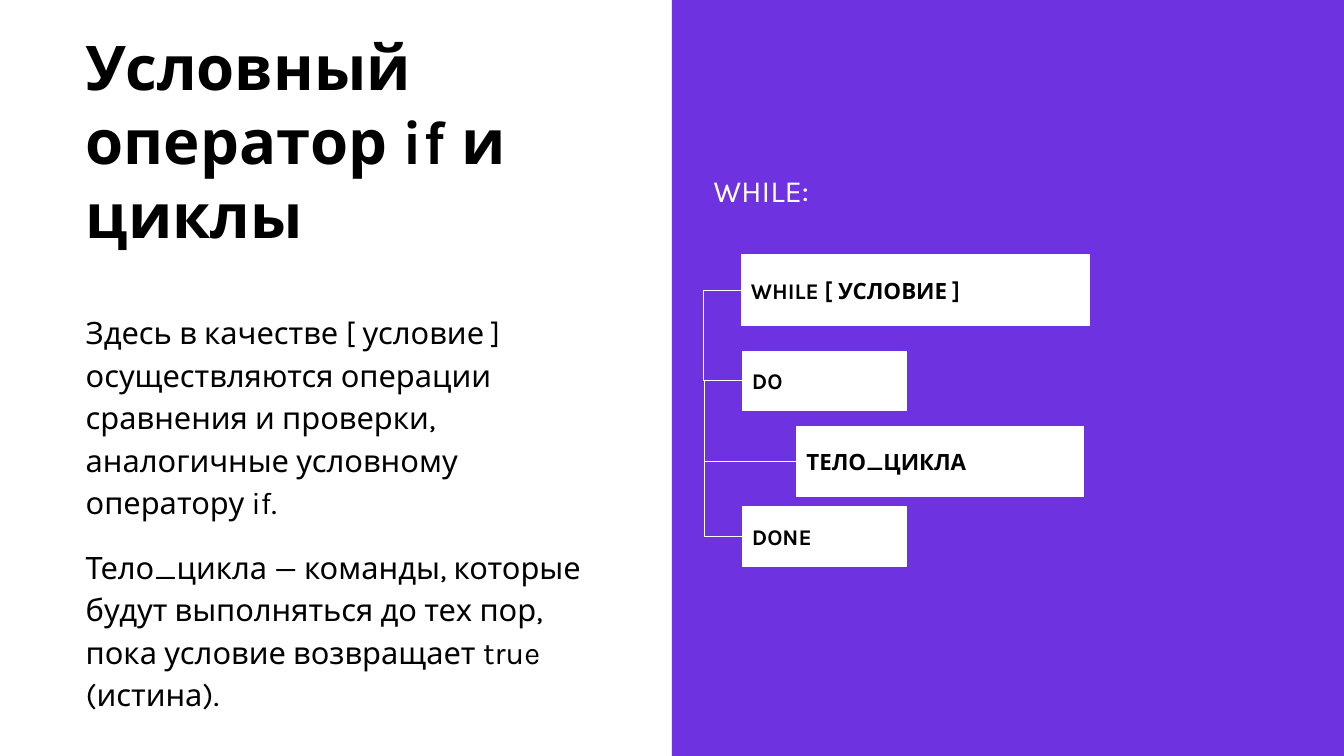
from pptx import Presentation
from pptx.dml.color import RGBColor
from pptx.enum import shapes, text
from pptx.oxml.ns import qn
from pptx.util import Inches, Pt
from lxml import etree

# Content
WIDE, HIGH = 13.33, 7.5
TITLE = "Условный оператор if и циклы"
BODY = [
    "Здесь в качестве [ условие ] осуществляются операции сравнения и проверки, "
    "аналогичные условному оператору if.",
    "Тело_цикла — команды, которые будут выполняться до тех пор, "
    "пока условие возвращает true (истина).",
]
HEAD = "WHILE:"
STEPS = [  # text, left, top, width, height
    ("WHILE [ УСЛОВИЕ ]", 7.35, 2.53, 3.46, 0.7),
    ("DO", 7.36, 3.49, 1.63, 0.58),
    ("ТЕЛО_ЦИКЛА", 7.9, 4.23, 2.85, 0.7),
    ("DONE", 7.36, 5.03, 1.63, 0.59),
]
RAILS = [6.97, 6.99, 6.99]  # x of the upright part of each link


class Theme:
    font = "Karla"
    violet = RGBColor(0x6E, 0x32, 0xE0)
    white = RGBColor(0xFF, 0xFF, 0xFF)
    black = RGBColor(0, 0, 0)
    title, body, step = Pt(44), Pt(22), Pt(16)
    line = Pt(0.75)


def place(left, top, width, height):
    return [Inches(v) for v in (left, top, width, height)]


def style(para, size, color, bold=False):
    para.alignment = text.PP_ALIGN.LEFT
    for run in para.runs:
        font = run.font
        font.name, font.size, font.bold = Theme.font, size, bold
        font.color.rgb = color


def set_frame(frame, anchor, inset=0.1):
    frame.word_wrap = True
    frame.auto_size = text.MSO_AUTO_SIZE.NONE
    frame.vertical_anchor = anchor
    frame.margin_left = frame.margin_right = Inches(0.1)
    frame.margin_top = frame.margin_bottom = Inches(inset)


def add_box(slide, spot, fill):
    box = slide.shapes.add_shape(shapes.MSO_SHAPE.RECTANGLE, *place(*spot))
    box.shadow.inherit = False
    box.fill.solid()
    box.fill.fore_color.rgb = fill
    box.line.fill.background()
    return box


def add_step(slide, label, *spot):
    box = add_box(slide, spot, Theme.white)
    box.line.color.rgb = Theme.white
    box.line.width = Theme.line
    set_frame(box.text_frame, text.MSO_ANCHOR.MIDDLE)
    box.text_frame.text = label
    style(box.text_frame.paragraphs[0], Theme.step, Theme.black, True)
    return box


def add_link(slide, start, end, rail):
    link = slide.shapes.add_connector(shapes.MSO_CONNECTOR.ELBOW, 0, 0, 0, 0)
    link.begin_connect(start, 1)  # 1 is the middle of the left side
    link.end_connect(end, 1)
    link.line.color.rgb = Theme.white
    link.line.width = Theme.line
    props = link._element.spPr
    etree.SubElement(props, qn("a:effectLst"))
    # Bend position as a share of the link's width
    share = (Inches(rail) - link.begin_x) / (link.end_x - link.begin_x)
    guides = props.find(qn("a:prstGeom")).find(qn("a:avLst"))
    etree.SubElement(guides, qn("a:gd"), name="adj1",
                     fmla=f"val {round(share * 100000)}")


def main():
    deck = Presentation()
    deck.slide_width, deck.slide_height = Inches(WIDE), Inches(HIGH)
    slide = deck.slides.add_slide(deck.slide_layouts[5])

    # Right panel
    add_box(slide, (WIDE / 2, 0, WIDE / 2, HIGH), Theme.violet)

    # Title and explanation
    title = slide.shapes.title
    title.left, title.top, title.width, title.height = place(0.75, 0.24, 5.45, 5.92)
    frame = title.text_frame
    set_frame(frame, text.MSO_ANCHOR.TOP, 0.05)
    frame.text = TITLE
    first = frame.paragraphs[0]
    first.line_spacing = 1.0
    style(first, Theme.title, Theme.black, True)
    for words, gap in zip(BODY, (41, 16)):
        para = frame.add_paragraph()
        para.text = words
        para.line_spacing = 1.15
        para.space_before = Pt(gap)
        style(para, Theme.body, Theme.black)

    # Loop heading
    head = slide.shapes.add_textbox(*place(6.98, 1.6, 5.93, 0.69))
    set_frame(head.text_frame, text.MSO_ANCHOR.TOP)
    head.text_frame.text = HEAD
    style(head.text_frame.paragraphs[0], Theme.body, Theme.white)

    # Loop steps and the links between neighbours
    boxes = [add_step(slide, *step) for step in STEPS]
    for start, end, rail in zip(boxes, boxes[1:], RAILS):
        add_link(slide, start, end, rail)

    deck.save("out.pptx")


if __name__ == "__main__":
    main()
